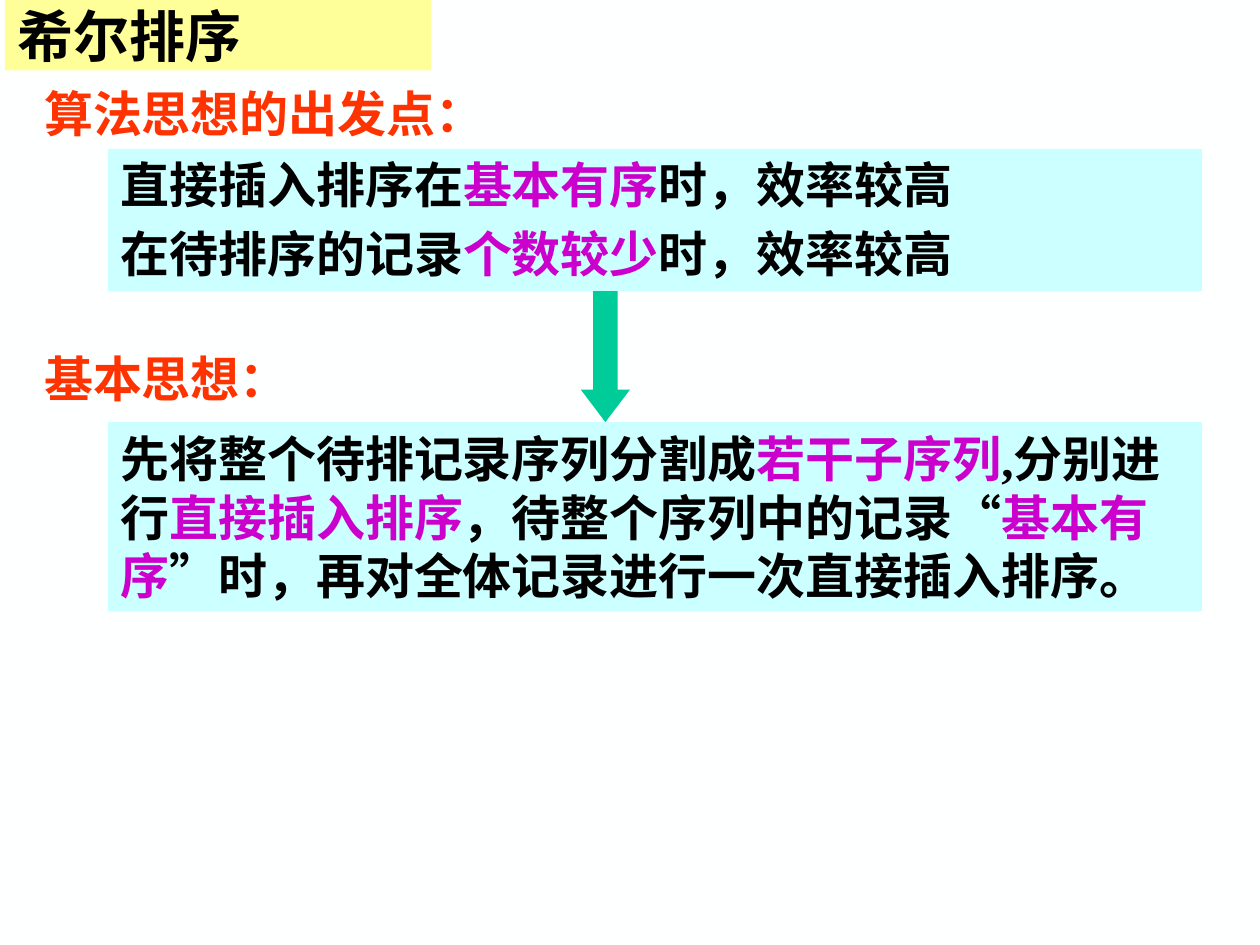
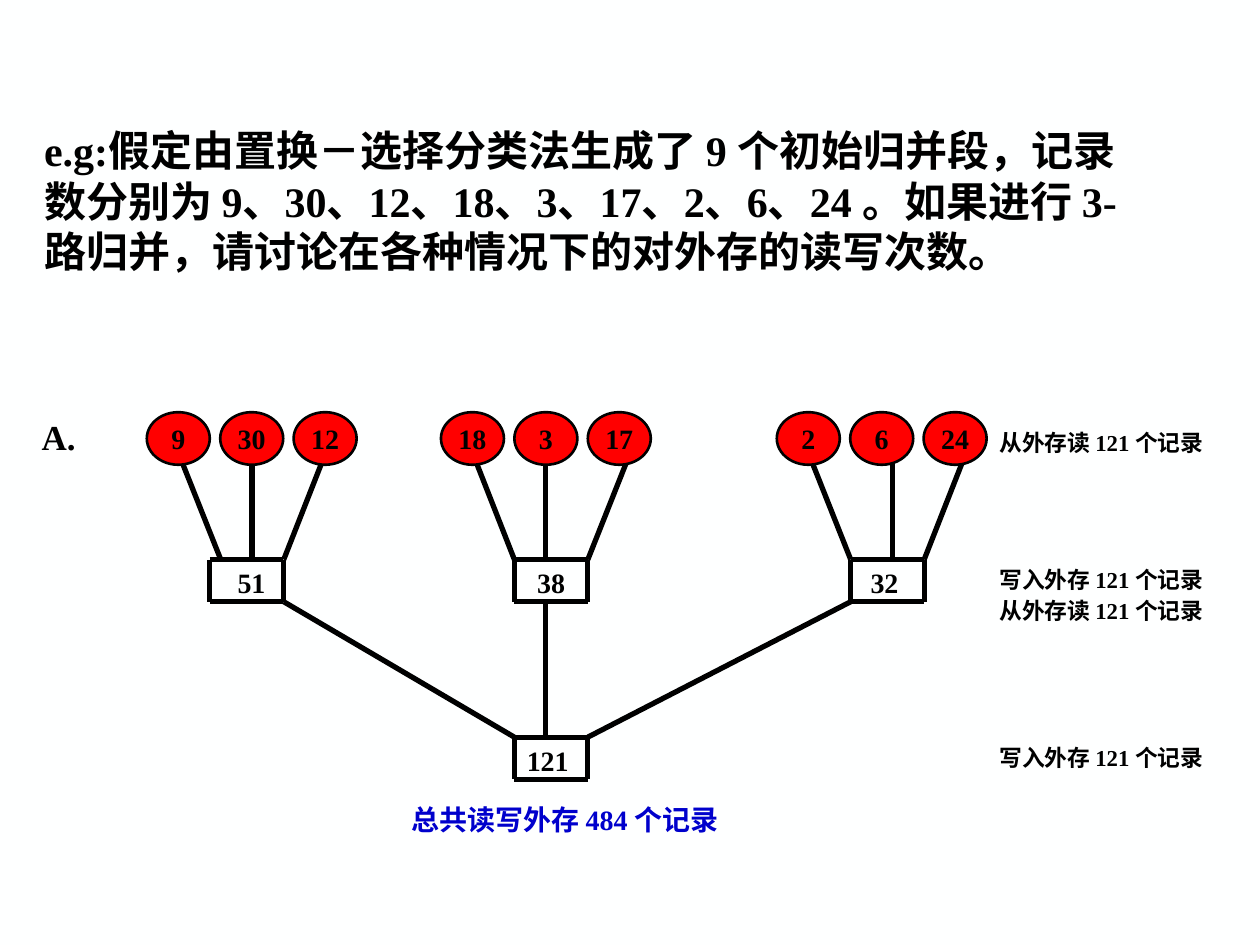
"""Build two slides on shell sort and three-way merging."""
import dataclasses
import typing

import lxml.etree
import pptx
import pptx.dml.color
import pptx.enum.shapes
import pptx.enum.text
import pptx.oxml.ns
import pptx.util

Cm = pptx.util.Cm
Pt = pptx.util.Pt
RGBColor = pptx.dml.color.RGBColor
Kind = pptx.enum.shapes.MSO_SHAPE
Anchor = pptx.enum.text.MSO_ANCHOR
Align = pptx.enum.text.PP_ALIGN
qn = pptx.oxml.ns.qn

BLACK = RGBColor(0x00, 0x00, 0x00)
PAPER = RGBColor(0xFE, 0xFF, 0xFF)
YELLOW = RGBColor(0xFF, 0xFF, 0x99)
CYAN = RGBColor(0xCC, 0xFF, 0xFF)
ORANGE = RGBColor(0xFF, 0x33, 0x00)
PURPLE = RGBColor(0xCC, 0x00, 0xCC)
GREEN = RGBColor(0x00, 0xCC, 0x99)
RED = RGBColor(0xFF, 0x00, 0x00)
BLUE = RGBColor(0x00, 0x00, 0xCC)
SERIF = "Times New Roman"
SANS = "Noto Sans CJK SC"

RUN_Y, RUN_W, RUN_H, RUN_STEP = 8.31, 1.27, 1.06, 1.48
EDGE_Y = 9.14
NODE_Y, NODE_W, NODE_H = 11.28, 1.48, 0.85
ROOT_X, ROOT_Y = 10.37, 14.86


@dataclasses.dataclass
class Label:
    """Text in a box, in which bars fence the key words."""
    left: float
    top: float
    width: float
    height: float
    text: str
    size: float
    color: RGBColor = BLACK
    fill: typing.Optional[RGBColor] = None
    font: str = SERIF
    gap: float = 0
    anchor: Anchor = Anchor.TOP


@dataclasses.dataclass
class Tree:
    """Three runs merged into one node; edges pair top and foot x."""
    left: float
    runs: tuple
    edges: tuple
    node: float
    total: str
    text_x: float


IDEAS = (
    Label(0.1, 0, 8.59, 1.42, "希尔排序", 32, fill=YELLOW, font=SANS, anchor=Anchor.MIDDLE),
    Label(0.64, 1.55, 11.07, 1.45, "算法思想的出发点：", 28, ORANGE),
    Label(2.18, 3, 22.05, 2.87,
          "直接插入排序在|基本有序|时，效率较高\n在待排序的记录|个数较少|时，效率较高",
          28, fill=CYAN, gap=5.6),
    Label(0.64, 6.91, 6.65, 1.45, "基本思想：", 28, ORANGE),
    Label(2.18, 8.51, 22.05, 3.81,
          "先将整个待排记录序列分割成|若干子序列|,分别进行|直接插入排序|，"
          "待整个序列中的记录“|基本有序|”时，再对全体记录进行一次直接插入排序。",
          28, fill=CYAN),
)
TREES = (
    Tree(2.96, ("9", "30", "12"), ((3.6, 4.45), (5.08, 5.08), (6.56, 5.72)),
         4.23, "51", 4.54),
    Tree(8.89, ("18", "3", "17"), ((9.53, 10.37), (11, 11), (12.7, 11.85)),
         10.37, "38", 10.58),
    Tree(15.66, ("2", "6", "24"), ((16.3, 17.15), (17.99, 17.99), (19.47, 18.63)),
         17.15, "32", 17.3),
)
LINKS = ((5.72, ROOT_X), (11, 11), (17.15, ROOT_X + NODE_W))
READ = "从外存读 121 个记录"
WRITE = "写入外存 121 个记录"
COSTS = ((8.51, READ), (NODE_Y, WRITE), (11.91, READ), (ROOT_Y, WRITE))
NOTES = (
    Label(0.64, 2.39, 22.86, 3.3,
          "e.g:假定由置换－选择分类法生成了 9 个初始归并段，记录数分别为 "
          "9、30、12、18、3、17、2、6、24 。如果进行 3-路归并，"
          "请讨论在各种情况下的对外存的读写次数。", 24),
    Label(0.59, 8.25, 2.2, 1.09, "A.", 20),
    Label(8.05, 16.05, 7.19, 0.94, "总共读写外存 484 个记录", 16, BLUE),
)


def assign(item: typing.Any, values: dict) -> None:
    """Set each named value on the item."""
    for name, value in values.items():
        setattr(item, name, value)


def write(frame: typing.Any, text: str, size: float, color: RGBColor = BLACK,
          font: str = SERIF, form: typing.Optional[dict] = None, gap: float = 0) -> None:
    """Fill a frame with bold text, with key words in purple."""
    for row, line in enumerate(text.split("\n")):
        para = frame.add_paragraph() if row else frame.paragraphs[0]
        assign(para, form or {"alignment": Align.LEFT})
        if row:
            para.space_before = Pt(gap)
        for part, words in enumerate(line.split("|")):
            run = para.add_run()
            run.text = words
            assign(run.font, {"size": Pt(size), "bold": True, "name": font})
            run.font.color.rgb = PURPLE if part % 2 else color
            props = run.font._element
            lxml.etree.SubElement(props, qn("a:ea")).set("typeface", SANS)


def shape(slide: typing.Any, kind: Kind, box: tuple, fill: RGBColor,
          line: float = 0) -> typing.Any:
    """Add a flat shape, outlined in black if line is given."""
    item = slide.shapes.add_shape(kind, *map(Cm, box))
    item.shadow.inherit = False
    item.fill.solid()
    item.fill.fore_color.rgb = fill
    if line:
        item.line.color.rgb = BLACK
        item.line.width = Pt(line)
    else:
        item.line.fill.background()
    return item


def label(slide: typing.Any, spec: Label) -> None:
    """Draw a label, on a filled box if it has a fill."""
    box = (spec.left, spec.top, spec.width, spec.height)
    if spec.fill is None:
        item = slide.shapes.add_textbox(*map(Cm, box))
    else:
        item = shape(slide, Kind.RECTANGLE, box, spec.fill)
    assign(item.text_frame, {"word_wrap": True, "vertical_anchor": spec.anchor})
    write(item.text_frame, spec.text, spec.size, spec.color, spec.font, gap=spec.gap)


def stroke(slide: typing.Any, *ends: float) -> None:
    """Draw a thick black line from x, y to x, y."""
    kind = pptx.enum.shapes.MSO_CONNECTOR.STRAIGHT
    line = slide.shapes.add_connector(kind, *map(Cm, ends))
    line.line.color.rgb = BLACK
    line.line.width = Pt(3)
    lxml.etree.SubElement(line._element.spPr, qn("a:effectLst"))


def node(slide: typing.Any, left: float, top: float, text: str, text_x: float) -> None:
    """Draw a merged node as four lines and its sum."""
    right, foot = left + NODE_W, top + NODE_H
    for y in (top, foot):
        stroke(slide, left, y, right, y)
    for x in (left, right):
        stroke(slide, x, top, x, foot)
    label(slide, Label(text_x, top, 2.12, 0.94, text, 16))


def tree(slide: typing.Any, spec: Tree) -> None:
    """Draw the edges, runs and node of one merge."""
    for start, end in spec.edges:
        stroke(slide, start, EDGE_Y, end, NODE_Y)
    for col, text in enumerate(spec.runs):
        box = (spec.left + col * RUN_STEP, RUN_Y, RUN_W, RUN_H)
        item = shape(slide, Kind.OVAL, box, RED, 1.5)
        assign(item.text_frame, {"word_wrap": False, "vertical_anchor": Anchor.MIDDLE})
        write(item.text_frame, text, 16, form={"alignment": Align.CENTER})
    node(slide, spec.node, NODE_Y, spec.total, spec.text_x)


def page(deck: typing.Any) -> typing.Any:
    """Add a blank slide with the shared ground."""
    slide = deck.slides.add_slide(deck.slide_layouts[6])
    slide.background.fill.solid()
    slide.background.fill.fore_color.rgb = PAPER
    return slide


def shell(deck: typing.Any) -> None:
    """Draw the slide on the idea of shell sort."""
    slide = page(deck)
    for spec in IDEAS:
        label(slide, spec)
    arrow = shape(slide, Kind.DOWN_ARROW, (11.71, 5.87, 0.99, 2.64), GREEN)
    arrow.adjustments[0], arrow.adjustments[1] = 0.5, 0.66


def merge(deck: typing.Any) -> None:
    """Draw the slide on the three-way merge."""
    slide = page(deck)
    for spec in TREES:
        tree(slide, spec)
    node(slide, ROOT_X, ROOT_Y, "121", ROOT_X)
    for start, end in LINKS:
        stroke(slide, start, NODE_Y + NODE_H, end, ROOT_Y)
    for top, text in COSTS:
        label(slide, Label(19.9, top, 5.08, 0.81, text, 13))
    for spec in NOTES:
        label(slide, spec)


def main() -> None:
    """Build and save the deck."""
    deck = pptx.Presentation()
    assign(deck, {"slide_width": Cm(25.4), "slide_height": Cm(19.05)})
    shell(deck)
    merge(deck)
    deck.save("out.pptx")


if __name__ == "__main__":
    main()
